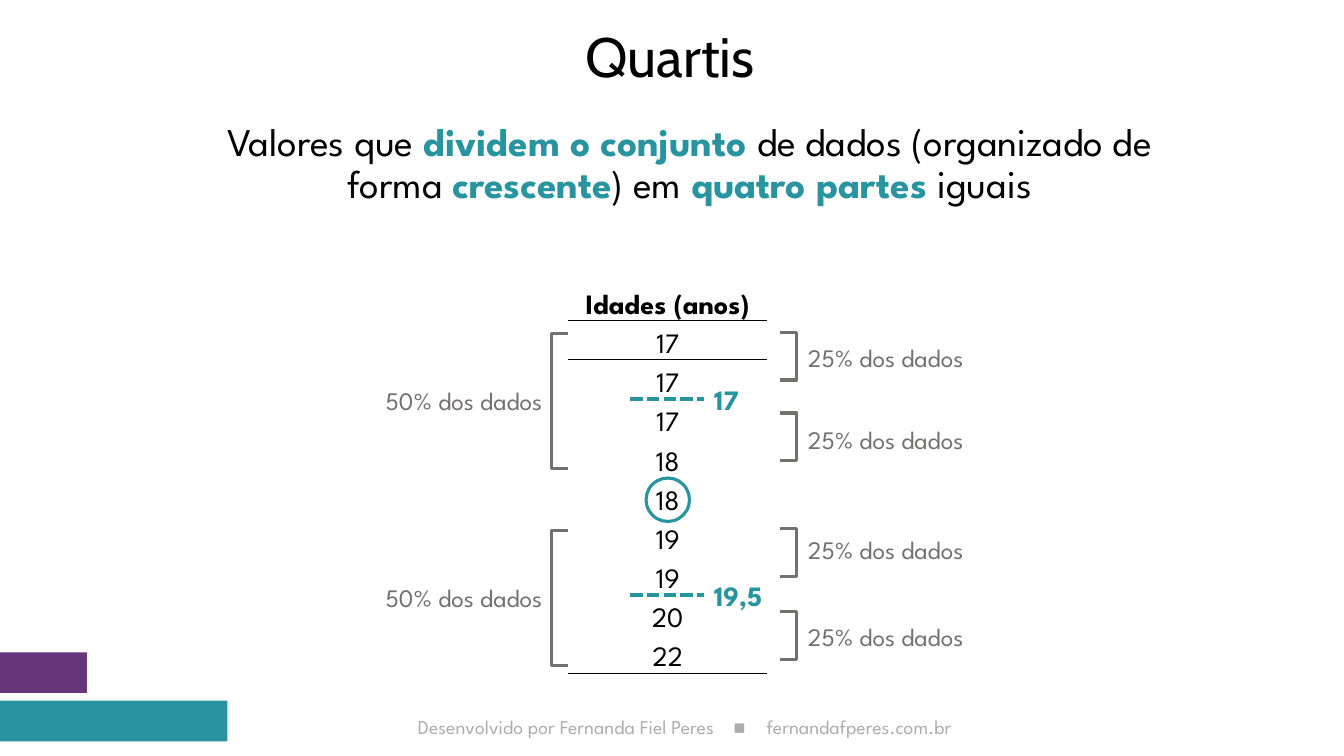
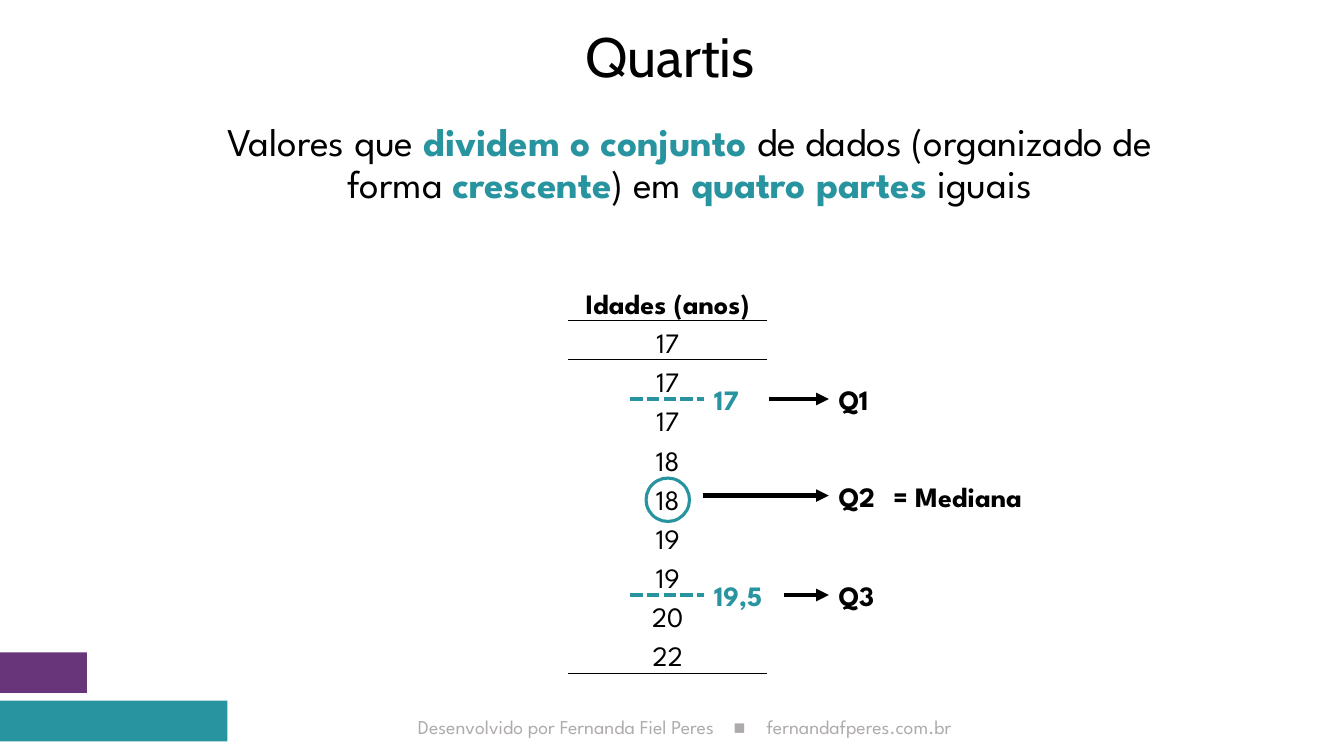
from lxml import etree
from pptx import Presentation
from pptx.dml.color import RGBColor
from pptx.enum import dml, shapes, text
from pptx.oxml import ns
from pptx.util import Pt

COLORS = {
    "ink": "000000",
    "teal": "2794A0",
    "purple": "68357A",
    "gray": "757070",
    "footer": "AFABAB",
}
BODY_FONT, TITLE_FONT = "League Spartan", "Cabin"
ALIGN = text.PP_ALIGN
NO_TABLE_STYLE = "{2D5ABB26-0587-4C30-8999-92F81FD0307C}"

TITLE_BOX = (37.5, 20, 882, 45.5)
BODY_BOX = (140.5, 84, 704, 397.5)
DEFINITION = ("Valores que *dividem o conjunto *de dados (organizado de forma "
              "*crescente*) em *quatro partes *iguais")
AGES = ["17", "17", "17", "18", "18", "19", "19", "20", "22"]
QUARTILE_CUTS = [("17", 285), ("19,5", 425)]  # value, height of the cut
HALF_TOPS = [238, 379]
QUARTERS = [(237.5, 241), (295, 299.5), (377.5, 378), (437, 440)]  # bracket, label
QUARTILE_ARROWS = [("Q1", 549, 285), ("Q2", 502.5, 354), ("Q3", 560, 425)]
LABEL_HEIGHT = 30


def rgb(name):
    return RGBColor.from_string(COLORS[name])


def write(paragraph, content, size=20, color="ink", bold=False, font=BODY_FONT,
          align=None):
    """Append a formatted run to a paragraph."""
    run = paragraph.add_run()
    run.text = content
    run.font.size = Pt(size)
    run.font.name = font
    run.font.bold = bold
    run.font.color.rgb = rgb(color)
    if align is not None:
        paragraph.alignment = align


def add_box(slide, left, top, width, height=LABEL_HEIGHT):
    box = slide.shapes.add_textbox(Pt(left), Pt(top), Pt(width), Pt(height))
    box.text_frame.word_wrap = True
    return box


def add_label(slide, content, left, top, width, **style):
    box = add_box(slide, left, top, width)
    write(box.text_frame.paragraphs[0], content, **style)
    return box


def add_shape(slide, kind, left, top, width, height, fill=None, line=None):
    shape = slide.shapes.add_shape(kind, Pt(left), Pt(top), Pt(width), Pt(height))
    shape.shadow.inherit = False
    if fill:
        shape.fill.solid()
        shape.fill.fore_color.rgb = rgb(fill)
    else:
        shape.fill.background()
    if line:
        shape.line.color.rgb = rgb(line)
        shape.line.width = Pt(2.25)
    else:
        shape.line.fill.background()
    return shape


def add_bracket(slide, kind, left, top, height):
    bracket = add_shape(slide, kind, left, top, 12, height, line="gray")
    bracket.adjustments[0] = 0


def join_to_label(slide, label, left, height, color, dashed=False, arrow=False):
    """Draw a line from a point to the left side of a label."""
    connector = slide.shapes.add_connector(
        shapes.MSO_CONNECTOR.STRAIGHT, Pt(left), Pt(height), label.left, Pt(height))
    connector.end_connect(label, 1)
    connector.line.color.rgb = rgb(color)
    connector.line.width = Pt(3)
    if dashed:
        connector.line.dash_style = dml.MSO_LINE.SQUARE_DOT
    properties = connector.element.spPr
    if arrow:
        line = properties.find(ns.qn("a:ln"))
        etree.SubElement(line, ns.qn("a:tailEnd"), type="triangle")
    etree.SubElement(properties, ns.qn("a:effectLst"))


def set_border(cell, side, width):
    border = etree.Element(ns.qn(f"a:ln{side}"), w=str(Pt(width)))
    fill = etree.SubElement(border, ns.qn("a:solidFill"))
    etree.SubElement(fill, ns.qn("a:srgbClr"), val=COLORS["ink"])
    cell._tc.get_or_add_tcPr().insert(0, border)


def add_age_table(slide):
    rows = ["Idades (anos)"] + AGES
    frame = slide.shapes.add_table(len(rows), 1, Pt(406), Pt(191), Pt(142), Pt(290))
    next(frame.element.iter(ns.qn("a:tableStyleId"))).text = NO_TABLE_STYLE
    table = frame.table
    table.first_row = table.horz_banding = False
    for index, content in enumerate(rows):
        table.rows[index].height = Pt(28 if index else 38)
        cell = table.cell(index, 0)
        cell.fill.background()
        cell.vertical_anchor = text.MSO_ANCHOR.BOTTOM
        cell.margin_left = cell.margin_right = cell.margin_top = Pt(0.7)
        cell.margin_bottom = 0
        write(cell.text_frame.paragraphs[0], content, bold=index == 0,
              align=ALIGN.CENTER)
    set_border(table.cell(0, 0), "B", 1)
    set_border(table.cell(1, 0), "T", 1)
    set_border(table.cell(len(AGES), 0), "B", 0.5)


def add_footer(slide):
    footer = add_box(slide, 291.5, 507, 420, 24.5)
    paragraph = footer.text_frame.paragraphs[0]
    write(paragraph, "Desenvolvido por Fernanda Fiel Peres\t", size=14, color="footer")
    write(paragraph, "■\t", size=14, color="footer", font="Arial")
    write(paragraph, "fernandafperes.com.br", size=14, color="footer")
    paragraph.alignment = ALIGN.LEFT
    stops = etree.SubElement(paragraph._p.get_or_add_pPr(), ns.qn("a:tabLst"))
    for position in (225.5, 249):
        etree.SubElement(stops, ns.qn("a:tab"), pos=str(Pt(position)), algn="l")
    return footer


def place_placeholders(layout):
    """Keep only the title and body of the layout, and place them."""
    for placeholder in list(layout.placeholders):
        index = placeholder.placeholder_format.idx
        if index > 1:
            placeholder.element.getparent().remove(placeholder.element)
            continue
        left, top, width, height = map(Pt, BODY_BOX if index else TITLE_BOX)
        placeholder.left, placeholder.top = left, top
        placeholder.width, placeholder.height = width, height


def move_decoration_to_layout(layout, slide):
    """Draw bands and footer once; every slide then inherits them."""
    rectangle = shapes.MSO_SHAPE.RECTANGLE
    decoration = [
        add_footer(slide),
        add_shape(slide, rectangle, 0, 466, 62, 29, fill="purple"),
        add_shape(slide, rectangle, 0, 500.5, 162.5, 29, fill="teal"),
    ]
    for shape in decoration:
        layout.element.cSld.spTree.append(shape.element)


def fill_title_and_body(slide):
    title, body = slide.shapes.title, slide.placeholders[1]
    for placeholder in (title, body):
        placeholder.text_frame.auto_size = text.MSO_AUTO_SIZE.NONE
        paragraph = placeholder.text_frame.paragraphs[0]
        paragraph.alignment = ALIGN.CENTER
        paragraph.line_spacing = 0.9
    title.text_frame.vertical_anchor = text.MSO_ANCHOR.MIDDLE
    write(title.text_frame.paragraphs[0], "Quartis", size=39.6, font=TITLE_FONT)

    paragraph = body.text_frame.paragraphs[0]
    paragraph.space_before = Pt(10)
    properties = paragraph._p.get_or_add_pPr()
    properties.set("marL", "0")
    properties.set("indent", "0")
    etree.SubElement(properties, ns.qn("a:buNone"))
    for index, part in enumerate(DEFINITION.split("*")):
        key = index % 2 == 1
        write(paragraph, part, size=28, bold=key, color="teal" if key else "ink")


def add_ages_with_cuts(slide):
    add_age_table(slide)
    add_shape(slide, shapes.MSO_SHAPE.OVAL, 461.5, 341.5, 31, 31, line="teal")
    for value, height in QUARTILE_CUTS:
        label = add_label(slide, value, 503, height - LABEL_HEIGHT / 2, 57,
                          color="teal", bold=True)
        join_to_label(slide, label, 450, height, "teal", dashed=True)


def add_shares(slide):
    for top in HALF_TOPS:
        add_bracket(slide, shapes.MSO_SHAPE.LEFT_BRACKET, 394, top, 96.5)
        add_label(slide, "50% dos dados", 252.5, top + 33.5, 142,
                  size=18, color="gray", align=ALIGN.RIGHT)
    for bracket_top, label_top in QUARTERS:
        add_bracket(slide, shapes.MSO_SHAPE.RIGHT_BRACKET, 557, bracket_top, 34)
        add_label(slide, "25% dos dados", 570, label_top, 142, size=18, color="gray")


def add_quartile_names(slide):
    for name, left, height in QUARTILE_ARROWS:
        top = height - LABEL_HEIGHT / 2
        label = add_label(slide, name, 592, top, 53, bold=True)
        join_to_label(slide, label, left, height, "ink", arrow=True)
        if name == "Q2":
            add_label(slide, "= Mediana", 631, top, 152, bold=True)


def main():
    presentation = Presentation()
    presentation.slide_width, presentation.slide_height = Pt(960), Pt(540)
    layout = presentation.slide_layouts[1]
    place_placeholders(layout)

    for number, add_details in enumerate((add_shares, add_quartile_names)):
        slide = presentation.slides.add_slide(layout)
        if number == 0:
            move_decoration_to_layout(layout, slide)
        fill_title_and_body(slide)
        add_ages_with_cuts(slide)
        add_details(slide)

    presentation.save("out.pptx")


if __name__ == "__main__":
    main()
